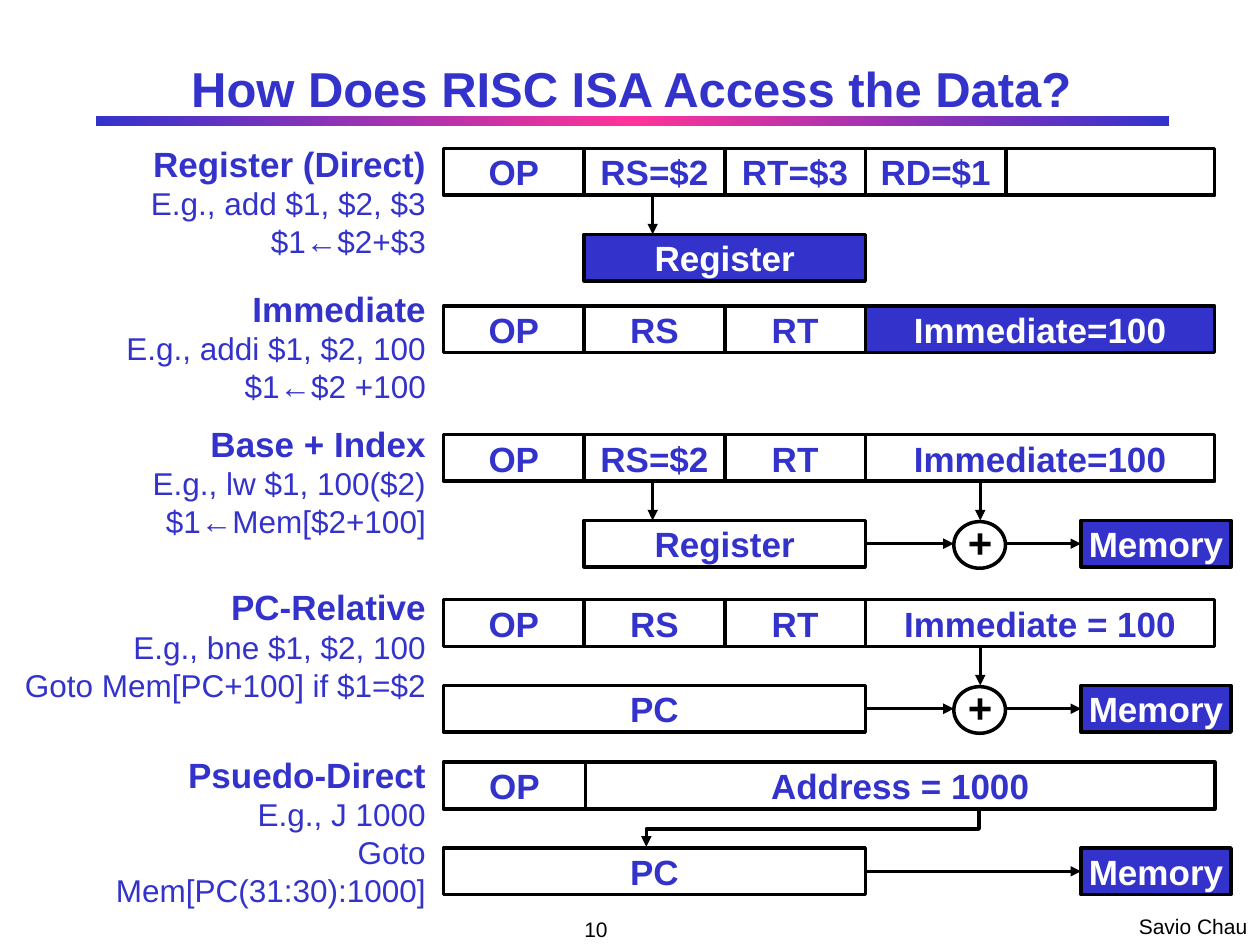
import copy

import pptx
import pptx.dml.color
import pptx.enum.shapes
import pptx.enum.text
import pptx.oxml
import pptx.oxml.ns
import pptx.util

RGBColor = pptx.dml.color.RGBColor
BLUE = RGBColor(0x33, 0x33, 0xCC)
PINK = RGBColor(0xFF, 0x33, 0x99)
WHITE = RGBColor(0xFF, 0xFF, 0xFF)
BLACK = RGBColor(0, 0, 0)
SHAPE = pptx.enum.shapes.MSO_SHAPE
ALIGN = pptx.enum.text.PP_ALIGN
MIDDLE = pptx.enum.text.MSO_ANCHOR.MIDDLE
inch = pptx.util.Inches

LEFT, COL, HEIGHT, DROP = 3.52, 1.116, 0.37, 0.68
END = 5.485
LABEL_RIGHT = 3.38
MEMORY_X, MEMORY_W = 8.58, 1.19
ADDER_X, ADDER_W = 7.57, 0.41
RS_X, IMM_X = 5.18, 7.78

MODES = [
    (1.13, 2.25, 0.84, ["Register (Direct)", "E.g., add $1, $2, $3", "$1←$2+$3"]),
    (2.28, 2.79, 0.96, ["Immediate", "E.g., addi $1, $2, 100", "$1←$2 +100"]),
    (3.35, 2.25, 0.98, ["Base + Index", "E.g., lw $1, 100($2)", "$1←Mem[$2+100]"]),
    (4.65, 3.19, 1.01, ["PC-Relative", "E.g., bne $1, $2, 100", "Goto Mem[PC+100] if $1=$2"]),
    (5.98, 3.06, 0.9, ["Psuedo-Direct", "E.g., J 1000", "Goto Mem[PC(31:30):1000]"]),
]

FORMATS = [
    (1.18, [0, 1, 2, 3, 4, END], ["OP", "RS=$2", "RT=$3", "RD=$1", ""]),
    (2.43, [0, 1, 2, 3, END], ["OP", "RS", "RT", "Immediate=100"]),
    (3.45, [0, 1, 2, 3, END], ["OP", "RS=$2", "RT", "Immediate=100"]),
    (4.76, [0, 1, 2, 3, END], ["OP", "RS", "RT", "Immediate = 100"]),
    (6.05, [0, 1.01, END], ["OP", "Address = 1000"]),
]


def col(n):
    return LEFT + n * COL


def add_run(p, text, size, color, bold=False, align=ALIGN.CENTER):
    p.alignment = align
    r = p.add_run()
    r.text = text
    r.font.name = "Arial"
    r.font.size = pptx.util.Pt(size)
    r.font.bold = bold
    r.font.color.rgb = color


def add_text(s, x, y, w, h, wrap=True, margin=True):
    tf = s.shapes.add_textbox(inch(x), inch(y), inch(w), inch(h)).text_frame
    tf.word_wrap = wrap
    if not margin:
        tf.margin_left = tf.margin_right = tf.margin_top = tf.margin_bottom = 0
    return tf


def outline(sp):
    sp.line.color.rgb = BLACK
    sp.line.width = pptx.util.Pt(2)


def add_arrowhead(sp):
    ln = sp.line._get_or_add_ln()
    ln.append(pptx.oxml.parse_xml(
        f'<a:tailEnd {pptx.oxml.ns.nsdecls("a")} type="triangle"/>'))


def add_box(s, x, y, w, text="", fill=WHITE, kind=SHAPE.RECTANGLE):
    sp = s.shapes.add_shape(kind, inch(x), inch(y), inch(w), inch(HEIGHT))
    sp.shadow.inherit = False
    sp.fill.solid()
    sp.fill.fore_color.rgb = fill
    outline(sp)
    if text:
        tf = sp.text_frame
        tf.word_wrap = False
        tf.vertical_anchor = MIDDLE
        add_run(tf.paragraphs[0], text, 20, BLUE if fill == WHITE else WHITE, True)


def add_arrow(s, x1, y1, x2, y2):
    cxn = s.shapes.add_connector(
        pptx.enum.shapes.MSO_CONNECTOR.STRAIGHT, inch(x1), inch(y1), inch(x2), inch(y2))
    outline(cxn)
    add_arrowhead(cxn)
    cxn._element.spPr.append(
        pptx.oxml.parse_xml(f'<a:effectLst {pptx.oxml.ns.nsdecls("a")}/>'))


def add_title(s, text):
    title = s.shapes.title
    title.left, title.top, title.width, title.height = map(inch, (0.76, 0.44, 8.5, 0.52))
    tf = title.text_frame
    tf.vertical_anchor = MIDDLE
    add_run(tf.paragraphs[0], text, 28, BLUE, True)


def add_rule(s):
    bar = s.shapes.add_shape(SHAPE.RECTANGLE, inch(0.76), inch(0.92), inch(8.52), inch(0.08))
    bar.shadow.inherit = False
    bar.line.fill.background()
    bar.fill.gradient()
    bar.fill.gradient_angle = 0
    stops = next(bar._element.iter(pptx.oxml.ns.qn("a:gsLst")))
    stops.insert(1, copy.deepcopy(stops[0]))
    for stop, position, color in zip(bar.fill.gradient_stops, (0, 0.5, 1), (BLUE, PINK, BLUE)):
        stop.position = position
        stop.color.rgb = color


def add_mode(s, y, w, h, lines):
    tf = add_text(s, LABEL_RIGHT - w, y, w, h, wrap=False, margin=False)
    for i, line in enumerate(lines):
        p = tf.add_paragraph() if i else tf.paragraphs[0]
        add_run(p, line, 18 if i else 20, BLUE, i == 0, ALIGN.RIGHT)


def add_format(s, y, edges, names, filled=None):
    for start, end, name in zip(edges, edges[1:], names):
        fill = BLUE if name and name == filled else WHITE
        add_box(s, col(start), y, (end - start) * COL, name, fill)


def add_memory(s, y, start):
    add_box(s, MEMORY_X, y, MEMORY_W, "Memory", BLUE)
    add_arrow(s, start, y + HEIGHT / 2, MEMORY_X, y + HEIGHT / 2)


def add_adder(s, y):
    add_box(s, ADDER_X, y + 0.01, ADDER_W, kind=SHAPE.OVAL)
    tf = add_text(s, ADDER_X + 0.06, y - 0.03, 0.3, 0.4, margin=False)
    tf.vertical_anchor = MIDDLE
    add_run(tf.paragraphs[0], "+", 24, BLACK, True)
    add_arrow(s, IMM_X, y - DROP + HEIGHT, IMM_X, y)
    add_arrow(s, col(3), y + HEIGHT / 2, ADDER_X, y + HEIGHT / 2)
    add_memory(s, y, ADDER_X + ADDER_W)


def add_register(s, y, fill=WHITE):
    add_box(s, col(1), y, 2 * COL, "Register", fill)
    add_arrow(s, RS_X, y - DROP + HEIGHT, RS_X, y)


def add_jump(s, y):
    points = [(7.77, y), (7.77, y + 0.16), (5.13, y + 0.16), (5.13, y + 0.3)]
    points = [(inch(px), inch(py)) for px, py in points]
    builder = s.shapes.build_freeform(*points[0])
    builder.add_line_segments(points[1:], close=False)
    sp = builder.convert_to_shape()
    sp.shadow.inherit = False
    sp.fill.background()
    outline(sp)
    add_arrowhead(sp)


def main():
    prs = pptx.Presentation()
    prs.slide_width, prs.slide_height = inch(10), inch(7.5)
    s = prs.slides.add_slide(prs.slide_layouts[5])
    add_rule(s)
    add_title(s, "How Does RISC ISA Access the Data?")
    for mode in MODES:
        add_mode(s, *mode)
    for i, (y, edges, names) in enumerate(FORMATS):
        add_format(s, y, edges, names, "Immediate=100" if i == 1 else None)

    direct, _, base, relative, jump = [y + DROP for y, _, _ in FORMATS]
    add_register(s, direct, BLUE)
    add_register(s, base)
    add_adder(s, base)
    for y in (relative, jump):
        add_box(s, col(0), y, 3 * COL, "PC")
    add_adder(s, relative)
    add_memory(s, jump, col(3))
    add_jump(s, jump - DROP + HEIGHT)

    author = add_text(s, 8.94, 7.2, 1.06, 0.3, wrap=False)
    add_run(author.paragraphs[0], "Savio Chau", 12, BLACK, align=ALIGN.LEFT)
    number = add_text(s, 3.69, 7.25, 2.08, 0.25)
    number.vertical_anchor = MIDDLE
    add_run(number.paragraphs[0], "10", 12, BLACK)
    prs.save("out.pptx")


if __name__ == "__main__":
    main()
